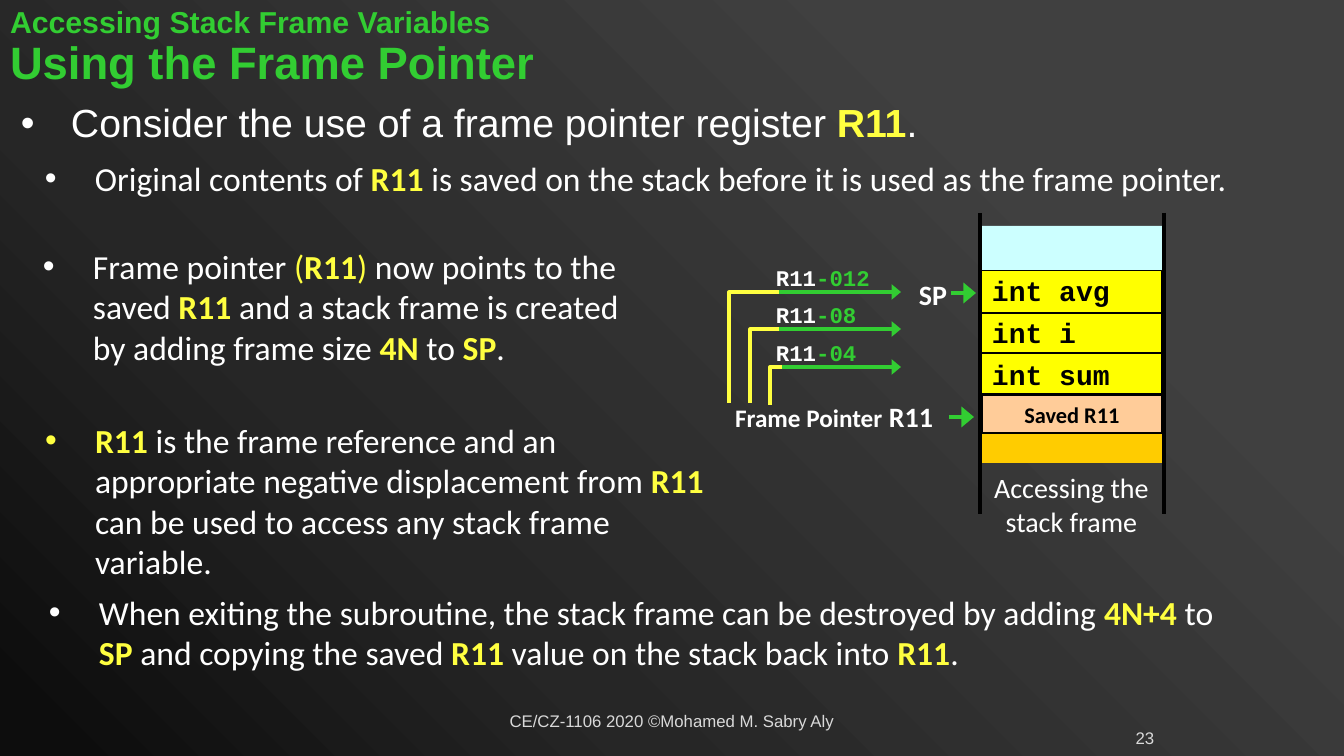
from lxml.etree import SubElement
from pptx import Presentation
from pptx.dml.color import RGBColor
from pptx.enum.shapes import MSO_CONNECTOR, MSO_SHAPE
from pptx.enum.text import MSO_ANCHOR, PP_ALIGN
from pptx.oxml.ns import qn
from pptx.util import Pt

EMU_PER_PX = 914400 / 100.8

WHITE = RGBColor(0xFF, 0xFF, 0xFF)
BLACK = RGBColor(0x00, 0x00, 0x00)
GREEN = RGBColor(0x32, 0xCD, 0x32)
HIGHLIGHT = RGBColor(0xFF, 0xFF, 0x40)
GREY = RGBColor(0xD9, 0xD9, 0xD9)
CYAN = RGBColor(0xCC, 0xFF, 0xFF)
ORANGE = RGBColor(0xFF, 0xCC, 0x00)
YELLOW = RGBColor(0xFF, 0xFF, 0x00)
PEACH = RGBColor(0xFF, 0xCC, 0x99)
BACKGROUND_STOPS = [
    (0, RGBColor(0x40, 0x40, 0x40)),
    (23, RGBColor(0x40, 0x40, 0x40)),
    (69, RGBColor(0x26, 0x26, 0x26)),
    (97, RGBColor(0x0D, 0x0D, 0x0D)),
]

DEFAULT_INSETS = (10, 5, 10, 5)
LABEL_INSETS = (2, 2, 0, 2)
NO_INSETS = (0, 0, 0, 0)
FRAME_LEFT, FRAME_WIDTH = 982, 180
OFFSET_LINE_WIDTH = 2.25


def px(length):
    return round(length * EMU_PER_PX)


def style(name, size, color, bold=False):
    return {"name": name, "size": Pt(size), "bold": bold, "color": color}


BODY = style("Calibri", 24, WHITE)
MARK = style("Calibri", 24, HIGHLIGHT, True)
MARK_LIGHT = style("Calibri", 24, HIGHLIGHT)
LABEL = style("Calibri", 20, WHITE, True)
FOOTER = style("Arial", 12, GREY)

BULLETS = [
    ((9, 99, 932, 81), 52, 0.9, [
        ("Consider the use of a frame pointer register ", style("Arial", 28, WHITE)),
        ("R11", style("Arial", 28, HIGHLIGHT, True)),
        (".", style("Arial", 28, WHITE))]),
    ((35, 153, 1245, 87), 50, 1.0, [
        ("Original contents of ", BODY), ("R11", MARK),
        (" is saved on the stack before it is used as the frame pointer.", BODY)]),
    ((33, 241, 621, 84), 50, 1.0, [
        ("Frame pointer ", BODY), ("(", MARK_LIGHT), ("R11", MARK), (")", MARK_LIGHT),
        (" now points to the saved ", BODY), ("R11", MARK),
        (" and a stack frame is created by adding frame size ", BODY),
        ("4N", MARK), (" to ", BODY), ("SP", MARK), (".", BODY)]),
    ((35, 415, 695, 87), 50, 1.0, [
        ("R11", MARK),
        (" is the frame reference and an appropriate negative displacement from ", BODY),
        ("R11", MARK), (" can be used to access any stack frame variable.", BODY)]),
    ((39, 587, 1210, 87), 50, 1.0, [
        ("When exiting the subroutine, the stack frame can be destroyed by adding ", BODY),
        ("4N+4", MARK), (" to ", BODY), ("SP", MARK),
        (" and copying the saved ", BODY), ("R11", MARK),
        (" value on the stack back into ", BODY), ("R11", MARK), (".", BODY)]),
]

OFFSETS = [
    ("-04", 367, 782, 770, 405),
    ("-08", 329, 779, 750, 403),
    ("-012", 292, 779, 729, 403),
]


def paint_background(slide):
    fill = slide.background.fill
    fill.gradient()
    fill.gradient_angle = 225
    stops = slide.background._cSld.find(".//" + qn("a:gsLst"))
    for stop in list(stops):
        stops.remove(stop)
    for percent, color in BACKGROUND_STOPS:
        stop = SubElement(stops, qn("a:gs"), pos=str(percent * 1000))
        SubElement(stop, qn("a:srgbClr"), val=str(color))


def add_runs(paragraph, runs):
    for text, values in runs:
        run = paragraph.add_run()
        run.text = text
        for key, value in values.items():
            if key == "color":
                run.font.color.rgb = value
            else:
                setattr(run.font, key, value)


def fit_frame(frame, insets, anchor):
    left, top, right, bottom = map(px, insets)
    values = {"word_wrap": True, "vertical_anchor": anchor, "margin_left": left,
              "margin_top": top, "margin_right": right, "margin_bottom": bottom}
    for key, value in values.items():
        setattr(frame, key, value)


def add_text(slide, box, runs, align=PP_ALIGN.LEFT, anchor=MSO_ANCHOR.MIDDLE,
             insets=DEFAULT_INSETS):
    frame = slide.shapes.add_textbox(*map(px, box)).text_frame
    fit_frame(frame, insets, anchor)
    paragraph = frame.paragraphs[0]
    paragraph.alignment = align
    add_runs(paragraph, runs)
    return paragraph


def add_bullet(slide, box, indent, spacing, runs):
    paragraph = add_text(slide, box, runs, anchor=MSO_ANCHOR.TOP)
    properties = paragraph._p.get_or_add_pPr()
    properties.set("marL", str(px(indent)))
    properties.set("indent", str(-px(50)))
    SubElement(properties, qn("a:buFont"), typeface="Arial")
    SubElement(properties, qn("a:buChar"), char="•")
    paragraph.line_spacing = spacing


def add_title(slide):
    paragraph = add_text(slide, (0, 2, 890, 93), [
        ("Accessing Stack Frame Variables", style("Arial", 21.6, GREEN, True))])
    paragraph.line_spacing = 0.9
    paragraph.add_line_break()
    add_runs(paragraph, [("Using the Frame Pointer", style("Arial", 32.4, GREEN, True))])


def add_block(slide, box, fill, outline=None):
    block = slide.shapes.add_shape(MSO_SHAPE.RECTANGLE, *map(px, box))
    block.shadow.inherit = False
    block.fill.solid()
    block.fill.fore_color.rgb = fill
    if outline:
        block.line.color.rgb = BLACK
        block.line.width = Pt(outline)
    else:
        block.line.fill.background()
    return block.text_frame


def add_line(slide, start, end, color, width, arrow=False):
    line = slide.shapes.add_connector(MSO_CONNECTOR.STRAIGHT, *map(px, start + end))
    line.line.color.rgb = color
    line.line.width = Pt(width)
    if arrow:
        SubElement(line.line._get_or_add_ln(), qn("a:tailEnd"), type="triangle", w="lg")
    SubElement(line._element.spPr, qn("a:effectLst"))


def add_bracket(slide, right, left, top, bottom):
    builder = slide.shapes.build_freeform(px(right), px(top))
    builder.add_line_segments([(px(left), px(top)), (px(left), px(bottom))], close=False)
    bracket = builder.convert_to_shape()
    bracket.shadow.inherit = False
    bracket.fill.background()
    bracket.line.color.rgb = HIGHLIGHT
    bracket.line.width = Pt(OFFSET_LINE_WIDTH)


def add_stack(slide):
    add_block(slide, (981, 226, 183, 237), CYAN)
    add_block(slide, (FRAME_LEFT, 432, FRAME_WIDTH, 31), ORANGE)
    for rail in (980, 1164):
        add_line(slide, (rail, 213), (rail, 514), BLACK, 3)

    variables = add_block(slide, (FRAME_LEFT, 270, FRAME_WIDTH, 124), YELLOW, 0.75)
    fit_frame(variables, DEFAULT_INSETS, MSO_ANCHOR.MIDDLE)
    for index, declaration in enumerate(["int avg", "int i", "int sum"]):
        paragraph = variables.add_paragraph() if index else variables.paragraphs[0]
        paragraph.alignment = PP_ALIGN.LEFT
        if index:
            paragraph.space_before = Pt(6)
        add_runs(paragraph, [(declaration, style("Courier New", 20, BLACK, True))])
    for divider in (313, 353):
        add_line(slide, (FRAME_LEFT, divider), (FRAME_LEFT + FRAME_WIDTH, divider), BLACK, 1)

    saved = add_block(slide, (FRAME_LEFT, 395, FRAME_WIDTH, 38), PEACH, 1)
    fit_frame(saved, (5, 6, 5, 5), MSO_ANCHOR.MIDDLE)
    saved.paragraphs[0].alignment = PP_ALIGN.CENTER
    add_runs(saved.paragraphs[0], [("Saved R11", style("Calibri", 16, BLACK, True))])
    add_text(slide, (967, 466, 209, 78),
             [("Accessing the stack frame", style("Calibri", 20, WHITE))],
             PP_ALIGN.CENTER, MSO_ANCHOR.TOP)


def add_pointers(slide):
    add_text(slide, (908, 275, 39, 38), [("SP", LABEL)], PP_ALIGN.RIGHT, insets=LABEL_INSETS)
    add_line(slide, (951, 293), (976, 293), GREEN, 3, True)
    add_text(slide, (685, 397, 248, 38),
             [("Frame Pointer", style("Calibri", 18, WHITE, True)), (" R11", LABEL)],
             PP_ALIGN.RIGHT, insets=LABEL_INSETS)
    add_line(slide, (949, 417), (974, 417), GREEN, 3, True)
    for offset, level, right, left, bottom in OFFSETS:
        add_line(slide, (776, level), (901, level), GREEN, OFFSET_LINE_WIDTH, True)
        add_text(slide, (776, level - 28, 97, 27),
                 [("R11", style("Courier New", 16, WHITE, True)),
                  (offset, style("Courier New", 16, GREEN, True))],
                 anchor=MSO_ANCHOR.TOP, insets=NO_INSETS)
        add_bracket(slide, right, left, level, bottom)


def main():
    presentation = Presentation()
    presentation.slide_width, presentation.slide_height = px(1344), px(756)
    slide = presentation.slides.add_slide(presentation.slide_layouts[6])
    paint_background(slide)
    add_title(slide)
    for bullet in BULLETS:
        add_bullet(slide, *bullet)
    add_stack(slide)
    add_pointers(slide)
    add_text(slide, (445, 701, 454, 40),
             [("CE/CZ-1106 2020 ©Mohamed M. Sabry Aly", FOOTER)], PP_ALIGN.CENTER)
    add_text(slide, (1121, 724, 48, 27), [("23", FOOTER)], PP_ALIGN.CENTER)
    presentation.save("out.pptx")


if __name__ == "__main__":
    main()
